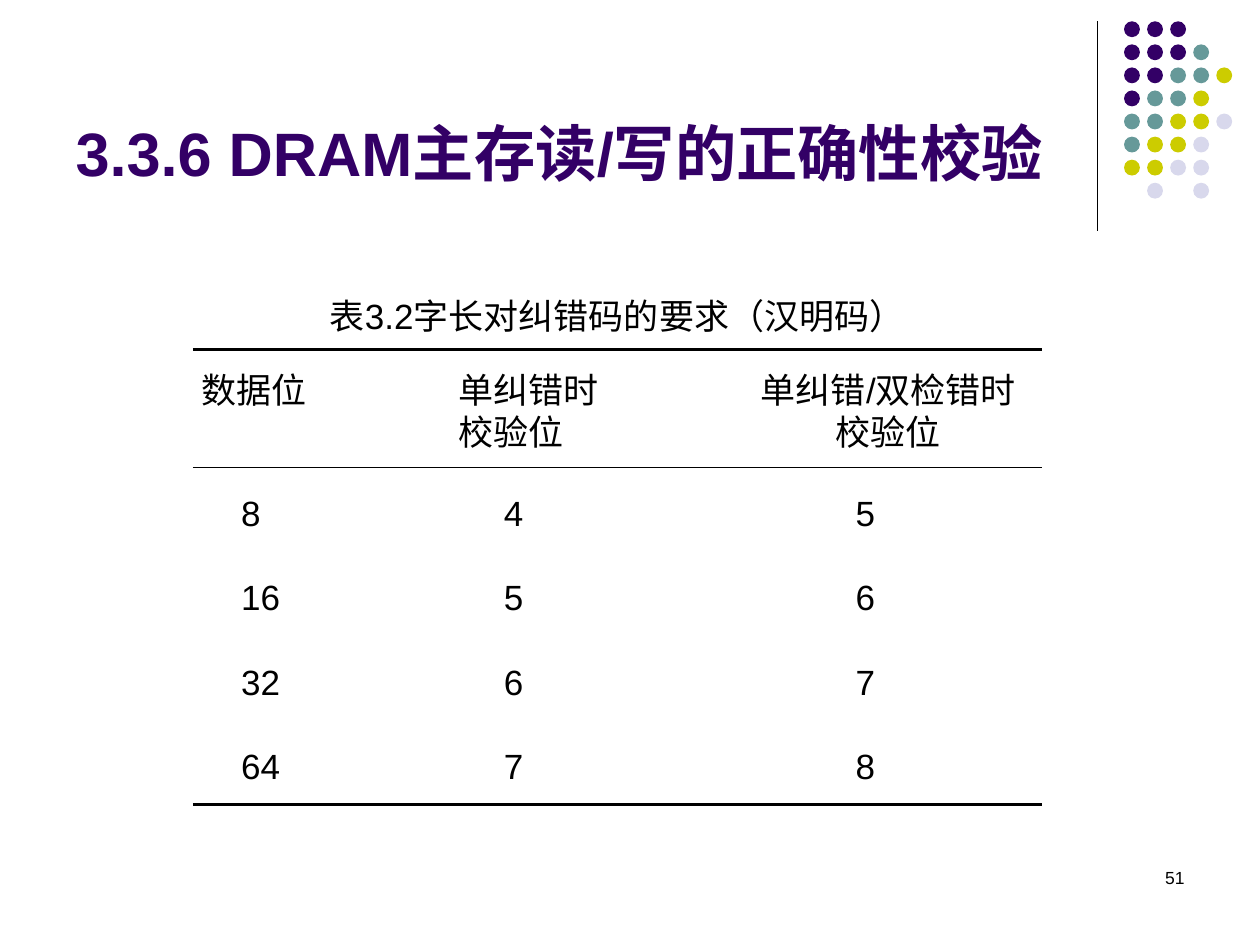
"""Build the slide on error checking of DRAM main memory."""
from lxml import etree
from pptx import Presentation
from pptx.dml.color import RGBColor
from pptx.enum.shapes import MSO_CONNECTOR, MSO_SHAPE
from pptx.enum.text import MSO_ANCHOR, MSO_AUTO_SIZE, PP_ALIGN
from pptx.oxml.ns import qn
from pptx.util import Cm, Pt

LEFT, CENTER, RIGHT = PP_ALIGN.LEFT, PP_ALIGN.CENTER, PP_ALIGN.RIGHT
TOP, MIDDLE, BOTTOM = MSO_ANCHOR.TOP, MSO_ANCHOR.MIDDLE, MSO_ANCHOR.BOTTOM
NO_AUTOFIT = MSO_AUTO_SIZE.NONE
OVAL, STRAIGHT = MSO_SHAPE.OVAL, MSO_CONNECTOR.STRAIGHT

THEME = {
    "font": "Arial",
    "title_size": 35, "body_size": 20, "number_size": 10, "head_spacing": 24,
    "ink": "000000", "title": "330066",
    "dots": {"P": "330066", "T": "669999", "Y": "CCCC00", "L": "D8D8EC"},
    "heavy": 2.25, "light": 0.75,
}

TITLE = "3.3.6 DRAM主存读/写的正确性校验"
CAPTION = "表3.2字长对纠错码的要求（汉明码）"
PAGE_NUMBER = "51"
DOT_ROWS = ["PPP", "PPPT", "PPTTY", "PTTY", "TTYYL", "TYYL", "YYLL", " L L"]
ROWS = [
    ["数据位", "单纠错时校验位", "单纠错/双检错时校验位"],
    ["8", "4", "5"],
    ["16", "5", "6"],
    ["32", "6", "7"],
    ["64", "7", "8"],
]
COLUMNS = [
    {"width": 5.1, "head": (0.18, 0.25), "body": 0.97, "align": LEFT},
    {"width": 5.82, "head": (0.25, 2.57), "body": 1.17, "align": LEFT},
    {"width": 6.2, "head": (0.25, 0.25), "body": 2.44, "align": CENTER},
]
TABLE_LEFT, TABLE_TOP = 3.89, 7.04
HEAD_HEIGHT, BODY_HEIGHT = 2.38, 1.7
RULES = {0: THEME["heavy"], 1: THEME["light"], len(ROWS): THEME["heavy"]}
DOT_LEFT, DOT_TOP, DOT_PITCH, DOT_SIZE = 22.66, 0.43, 0.465, 0.32


def write(frame, text, size, align=LEFT, color=THEME["ink"], bold=False):
    frame.word_wrap = True
    paragraph = frame.paragraphs[0]
    paragraph.text = text
    paragraph.alignment = align
    font = paragraph.font
    font.name, font.size, font.bold = THEME["font"], Pt(size), bold
    font.color.rgb = RGBColor.from_string(color)
    return paragraph


def add_title(slide):
    title = slide.shapes.title
    title.left, title.top, title.width, title.height = Cm(1.27), Cm(0.33), Cm(20.96), Cm(3.6)
    frame = title.text_frame
    frame.auto_size = NO_AUTOFIT
    frame.vertical_anchor = BOTTOM
    write(frame, TITLE, THEME["title_size"], color=THEME["title"], bold=True)


def add_text(slide, text, box, size, align=LEFT):
    shape = slide.shapes.add_textbox(*(Cm(length) for length in box))
    write(shape.text_frame, text, size, align)


def add_divider(slide):
    line = slide.shapes.add_connector(STRAIGHT, Cm(22.12), Cm(0.43), Cm(22.12), Cm(4.65))
    line.line.color.rgb = RGBColor.from_string(THEME["ink"])
    line.line.width = Pt(THEME["light"])
    etree.SubElement(line._element.spPr, qn("a:effectLst"))


def add_dots(slide):
    group = slide.shapes.add_group_shape()
    for row, letters in enumerate(DOT_ROWS):
        for column, letter in enumerate(letters):
            if letter == " ":
                continue
            dot = group.shapes.add_shape(
                OVAL, Cm(DOT_LEFT + column * DOT_PITCH), Cm(DOT_TOP + row * DOT_PITCH),
                Cm(DOT_SIZE), Cm(DOT_SIZE))
            dot.shadow.inherit = False
            dot.fill.solid()
            dot.fill.fore_color.rgb = RGBColor.from_string(THEME["dots"][letter])
            dot.line.fill.background()


def set_border(cell, position, tag, width):
    border = etree.Element(qn(tag))
    if width:
        border.set("w", str(Pt(width)))
        fill = etree.SubElement(border, qn("a:solidFill"))
        etree.SubElement(fill, qn("a:srgbClr"), val=THEME["ink"])
    else:
        etree.SubElement(border, qn("a:noFill"))
    cell._tc.get_or_add_tcPr().insert(position, border)


def fill_cell(cell, text, row, column):
    is_head = row == 0
    left, right = column["head"] if is_head else (column["body"], 0.25)
    cell.margin_left, cell.margin_right = Cm(left), Cm(right)
    cell.margin_top, cell.margin_bottom = Cm(0.45 if is_head else 0.3), Cm(0.1)
    cell.vertical_anchor = TOP if is_head else MIDDLE
    cell.fill.background()
    align = column["align"] if is_head else LEFT
    paragraph = write(cell.text_frame, text, THEME["body_size"], align)
    if is_head:
        paragraph.line_spacing = Pt(THEME["head_spacing"])
    borders = [("a:lnL", None), ("a:lnR", None),
               ("a:lnT", RULES.get(row)), ("a:lnB", RULES.get(row + 1))]
    for position, (tag, width) in enumerate(borders):
        set_border(cell, position, tag, width)


def add_requirements_table(slide):
    heights = [HEAD_HEIGHT] + [BODY_HEIGHT] * (len(ROWS) - 1)
    width = sum(column["width"] for column in COLUMNS)
    table = slide.shapes.add_table(
        len(ROWS), len(COLUMNS), Cm(TABLE_LEFT), Cm(TABLE_TOP), Cm(width), Cm(sum(heights))).table
    table.first_row = table.horz_banding = False
    for index, column in enumerate(COLUMNS):
        table.columns[index].width = Cm(column["width"])
    for row, (height, texts) in enumerate(zip(heights, ROWS)):
        table.rows[row].height = Cm(height)
        for index, (text, column) in enumerate(zip(texts, COLUMNS)):
            fill_cell(table.cell(row, index), text, row, column)


def main():
    presentation = Presentation()
    presentation.slide_width, presentation.slide_height = Cm(25.4), Cm(19.05)
    slide = presentation.slides.add_slide(presentation.slide_layouts[5])
    add_divider(slide)
    add_dots(slide)
    add_title(slide)
    add_text(slide, CAPTION, (6.4, 5.82, 13.31, 1.12), THEME["body_size"])
    add_requirements_table(slide)
    add_text(slide, PAGE_NUMBER, (18.21, 17.35, 5.92, 1.27), THEME["number_size"], RIGHT)
    presentation.save("out.pptx")


if __name__ == "__main__":
    main()
